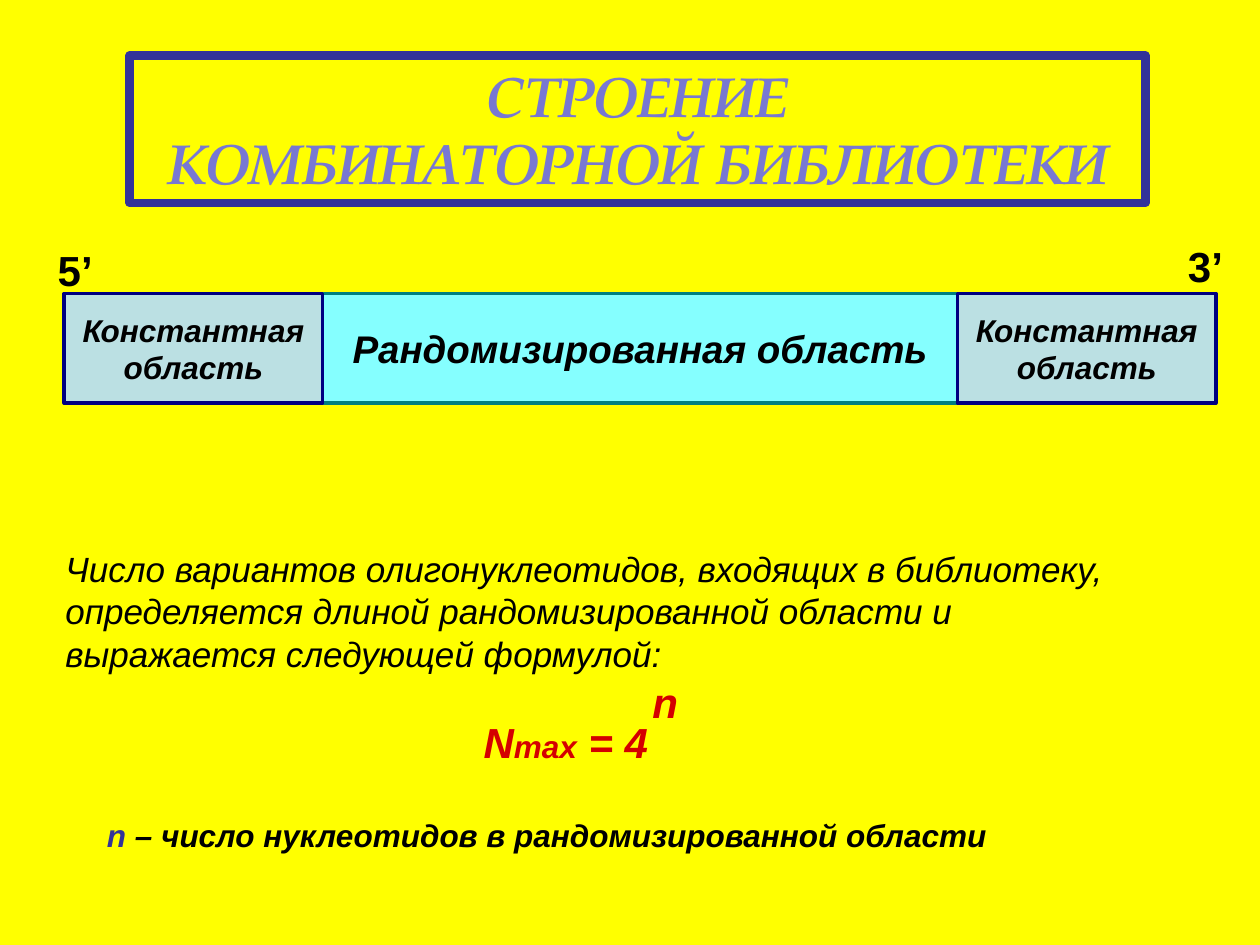
from pptx import Presentation
from pptx.dml.color import RGBColor as RGB
from pptx.enum.shapes import MSO_SHAPE as Shape
from pptx.enum.text import MSO_ANCHOR as Anchor, MSO_AUTO_SIZE as Fit, PP_ALIGN as Align
from pptx.util import Inches, Pt

HUES = {
    "page": "FFFF00", "frame": "333399", "title": "7878D2", "ink": "000000",
    "red": "D40000", "cyan": "85FFFF", "teal": "008080",
    "pale": "BBE0E3", "navy": "000080",
}

deck = Presentation()
deck.slide_width, deck.slide_height = Inches(10), Inches(7.5)
COL, ROW = deck.slide_width / 100, deck.slide_height / 75  # grid of 100 x 75


def grid(x, y, w, h):
    return [round(v) for v in (x * COL, y * ROW, w * COL, h * ROW)]


def write(box, lines, size=18, hue="ink", face="Arial", bold=True, slant=True,
          align=Align.LEFT, anchor=Anchor.TOP, fit=Fit.SHAPE_TO_FIT_TEXT, wrap=False):
    """Fill a box; a line is a list of (text, format changes) runs."""
    frame = box.text_frame
    frame.word_wrap, frame.auto_size, frame.vertical_anchor = wrap, fit, anchor
    for i, line in enumerate(lines):
        para = frame.add_paragraph() if i else frame.paragraphs[0]
        para.alignment = align
        for text, diff in line:
            run = para.add_run()
            run.text = text
            font = run.font
            font.name, font.bold, font.italic = face, bold, slant
            font.size = Pt(diff.get("size", size))
            font.color.rgb = RGB.from_string(HUES[diff.get("hue", hue)])


slide = deck.slides.add_slide(deck.slide_layouts[5])
slide.background.fill.solid()
slide.background.fill.fore_color.rgb = RGB.from_string(HUES["page"])

# Framed title
title = slide.shapes.title
title.left, title.top, title.width, title.height = grid(10.3, 4.4, 80.6, 11.7)
title.line.color.rgb = RGB.from_string(HUES["frame"])
title.line.width = Pt(5)
write(title, [[("СТРОЕНИЕ", {})], [("КОМБИНАТОРНОЙ БИБЛИОТЕКИ", {})]], size=32,
      hue="title", face="TeX Gyre Pagella", align=Align.CENTER)

# Explanation and formula
notes = [
    ((4.2, 43, 84.8, 11),
     [[("Число вариантов олигонуклеотидов, входящих в библиотеку,", {})],
      [("определяется длиной рандомизированной области и", {})],
      [("выражается следующей формулой:", {})]], {"size": 20, "bold": False}),
    ((37.4, 56.4, 16, 5), [[("N", {}), ("max", {"size": 18}), (" = 4", {})]],
     {"size": 24, "hue": "red"}),
    ((50.8, 53.2, 4, 5), [[("n", {})]], {"size": 24, "hue": "red"}),
    ((7.5, 64.3, 71.9, 4),
     [[("n", {"hue": "frame"}),
       (" – число нуклеотидов в рандомизированной области", {})]], {}),
]
for place, lines, form in notes:
    write(slide.shapes.add_textbox(*grid(*place)), lines, **form)

# Strand: random region between two constant regions
strand = slide.shapes.add_group_shape().shapes
LEFT, TOP, TALL, SIDE, MID = 5.1, 23.3, 8.7, 20.5, 50.4
const = [[("Константная", {})], [("область", {})]]
parts = [
    (LEFT + SIDE, MID, "cyan", "teal", [[("Рандомизированная область", {})]], 22),
    (LEFT + SIDE + MID, SIDE, "pale", "navy", const, 18),
    (LEFT, SIDE, "pale", "navy", const, 18),
]
for x, wide, fill, edge, lines, size in parts:
    part = strand.add_shape(Shape.RECTANGLE, *grid(x, TOP, wide, TALL))
    part.shadow.inherit = False
    part.fill.solid()
    part.fill.fore_color.rgb = RGB.from_string(HUES[fill])
    part.line.color.rgb = RGB.from_string(HUES[edge])
    part.line.width = Pt(2)
    write(part, lines, size=size, align=Align.CENTER, anchor=Anchor.MIDDLE, fit=Fit.NONE)

# Strand ends
for x, y, text, wrap in [(3.6, 18.9, "5’", False), (93.3, 18.6, "3’", True)]:
    mark = strand.add_textbox(*grid(x, y, 4.8, 5))
    write(mark, [[(text, {})]], size=24, slant=False, wrap=wrap)

deck.save("out.pptx")
